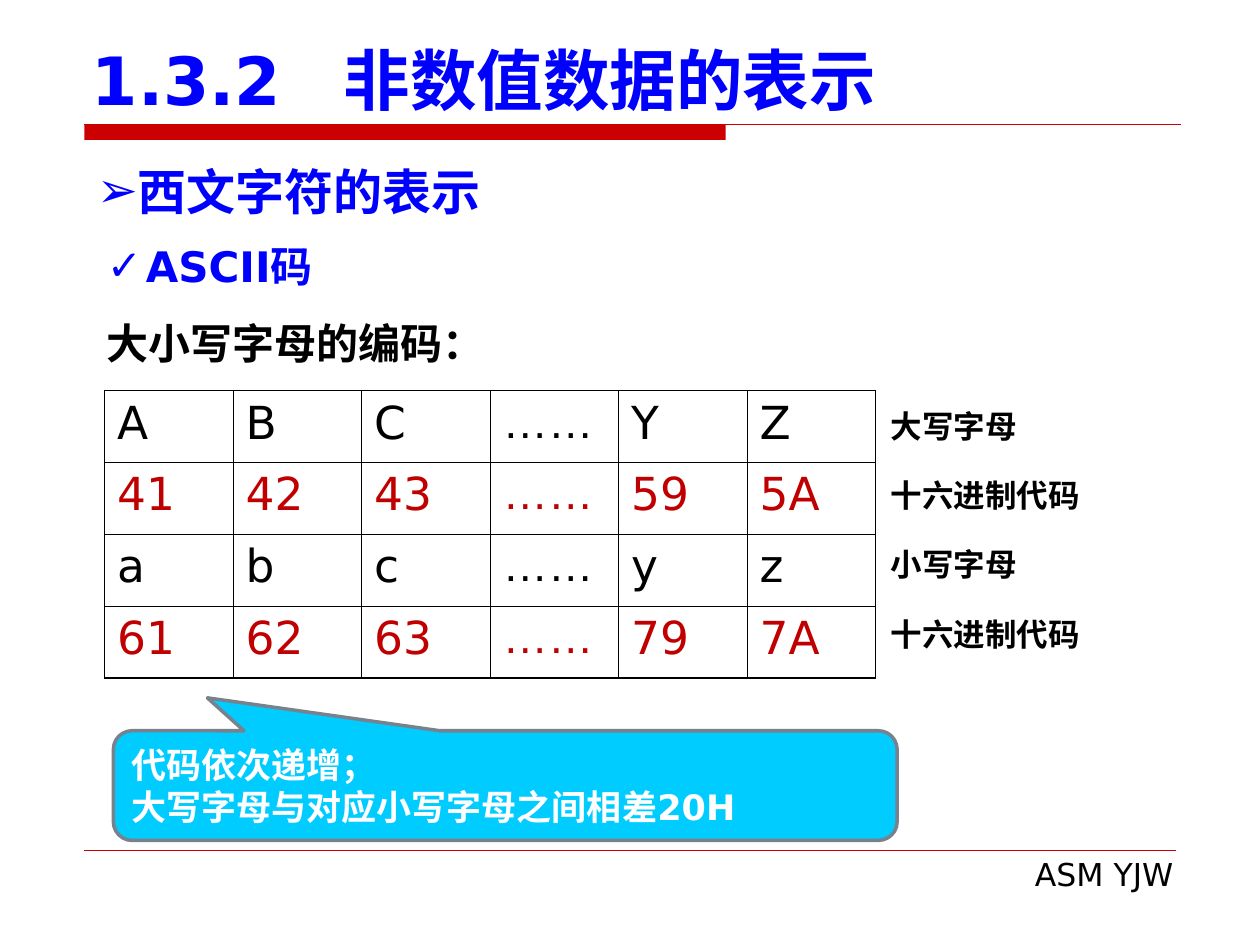
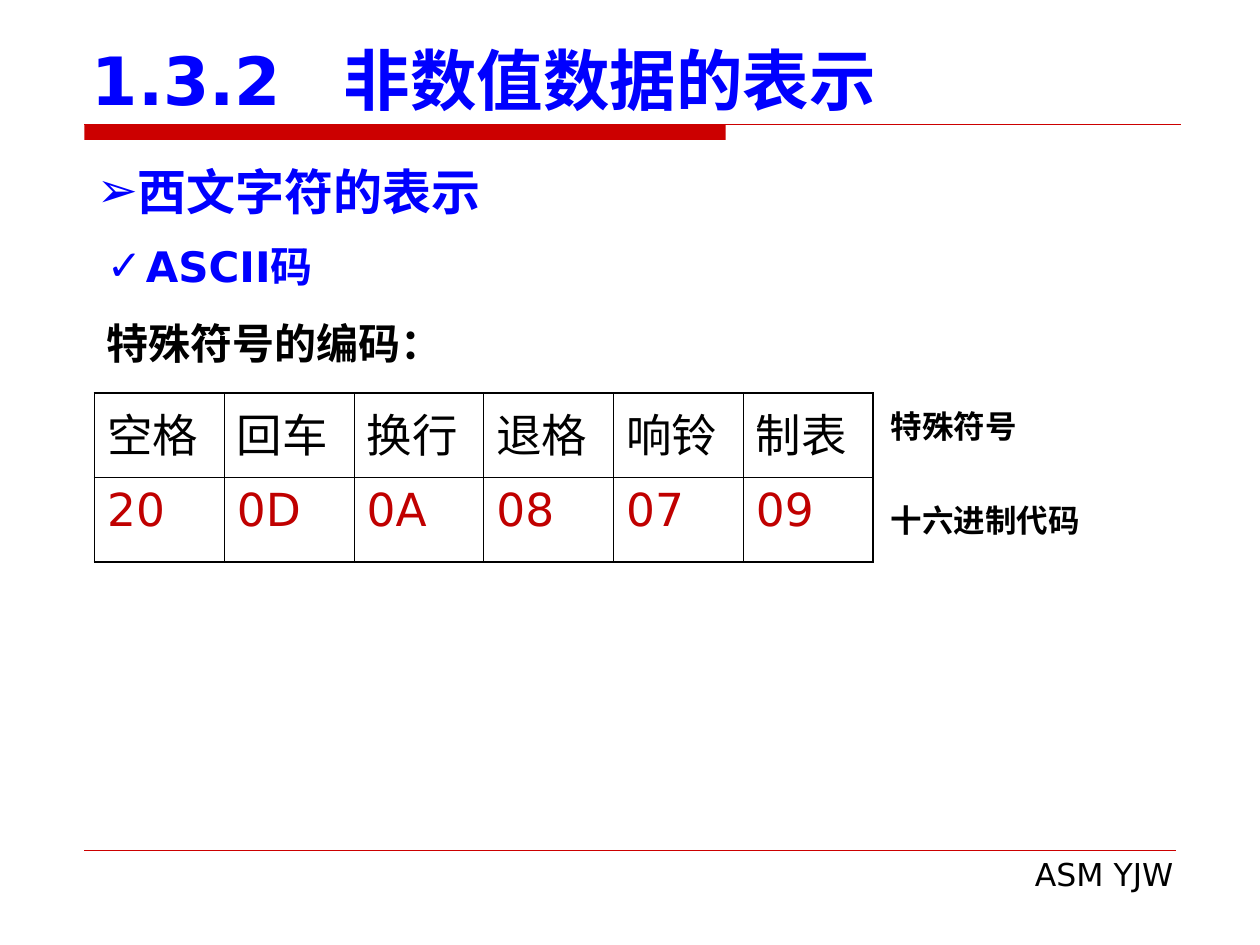
from dataclasses import dataclass
from typing import Any

from lxml.etree import SubElement as Sub
from pptx import Presentation
from pptx.dml.color import RGBColor as RGB
from pptx.enum.lang import MSO_LANGUAGE_ID as Lang
from pptx.enum.shapes import MSO_CONNECTOR as Link, MSO_SHAPE as Form
from pptx.enum.text import MSO_ANCHOR as Anchor, MSO_AUTO_SIZE as Auto, PP_ALIGN as Align
from pptx.oxml.ns import qn
from pptx.util import Inches, Pt

COLORS = {
    "red": "CC0000", "code": "C00000", "blue": "0000FF", "black": "000000",
    "white": "FFFFFF", "cyan": "00CCFF", "gray": "77828D",
}
STYLES: dict[str, dict[str, Any]] = {
    "title": {"size": Pt(38), "bold": True, "color": "blue"},
    "topic": {"size": Pt(28), "bold": True, "color": "blue"},
    "point": {"size": Pt(24), "bold": True, "color": "blue"},
    "lead": {"size": Pt(24), "bold": True, "color": "black"},
    "label": {"size": Pt(18), "bold": True, "color": "black"},
    "foot": {"size": Pt(18), "bold": False, "color": "black"},
    "note": {"size": Pt(20), "bold": True, "color": "white"},
    "sign": {"size": Pt(26), "bold": False, "color": "black"},
    "code": {"size": Pt(26), "bold": False, "color": "code"},
}
FONT = "DejaVu Sans"
DOTS = "……"
CODE = "十六进制代码"
LEFT, RIGHT = 0.67, 9.37
THICK, THIN = 1.08, 0.45


@dataclass
class Line:
    """One paragraph; tab is a stop in inches, hang is the bullet's indent."""
    text: str
    style: str
    before: float = 0
    align: Any = Align.LEFT
    bullet: str = ""
    hang: float = 0
    tab: float = 0


@dataclass
class Grid:
    left: float
    top: float
    col: float
    row: float
    cells: list[list[str]]


@dataclass
class Page:
    lead: str
    grid: Grid
    labels: list[str]
    pitch: float
    note: tuple[str, ...] = ()


PAGES = [
    Page(
        "大小写字母的编码：",
        Grid(0.83, 3.1, 1.02, 0.57, [
            ["A", "B", "C", DOTS, "Y", "Z"],
            ["41", "42", "43", DOTS, "59", "5A"],
            ["a", "b", "c", DOTS, "y", "z"],
            ["61", "62", "63", DOTS, "79", "7A"],
        ]),
        ["大写字母", CODE, "小写字母", CODE], 0.55,
        ("代码依次递增；", "大写字母与对应小写字母之间相差20H"),
    ),
    Page(
        "特殊符号的编码：",
        Grid(0.75, 3.12, 1.03, 0.67, [
            ["空格", "回车", "换行", "退格", "响铃", "制表"],
            ["20", "0D", "0A", "08", "07", "09"],
        ]),
        ["特殊符号", CODE], 0.75,
    ),
]


def shade(name: str) -> RGB:
    return RGB.from_string(COLORS[name])


def write(frame: Any, lines: list[Line]) -> None:
    for i, line in enumerate(lines):
        para = frame.paragraphs[0] if i == 0 else frame.add_paragraph()
        para.alignment = line.align
        if line.before:
            para.space_before = Pt(line.before)
        props = para._p.get_or_add_pPr()
        if line.bullet:
            props.set("marL", str(Inches(line.hang)))
            props.set("indent", str(-Inches(line.hang)))
            tint = Sub(props, qn("a:buClr"))
            Sub(tint, qn("a:srgbClr"), val=COLORS[STYLES[line.style]["color"]])
            Sub(props, qn("a:buFont"), typeface="Arial")
            Sub(props, qn("a:buChar"), char=line.bullet)
        if line.tab:
            stops = Sub(props, qn("a:tabLst"))
            Sub(stops, qn("a:tab"), pos=str(Inches(line.tab)), algn="l")
        run = para.add_run()
        run.text = line.text
        font = run.font
        font.name = "Arial" if line.text == DOTS else FONT
        font.language_id = Lang.SIMPLIFIED_CHINESE
        for key, value in STYLES[line.style].items():
            if key == "color":
                font.color.rgb = shade(value)
            else:
                setattr(font, key, value)


def add_text(slide: Any, box: tuple[float, ...], *lines: Line, grow: bool = True) -> None:
    frame = slide.shapes.add_textbox(*map(Inches, box)).text_frame
    frame.word_wrap = True
    if grow:
        frame.auto_size = Auto.SHAPE_TO_FIT_TEXT
    else:
        frame.vertical_anchor = Anchor.BOTTOM
    write(frame, list(lines))


def add_rule(slide: Any, right: float, top: float, width: float) -> None:
    rule = slide.shapes.add_connector(
        Link.STRAIGHT, Inches(LEFT), Inches(top), Inches(right), Inches(top))
    rule.line.color.rgb = shade("red")
    rule.line.width = Pt(width)
    Sub(rule._element.spPr, qn("a:effectLst"))


def add_frame(slide: Any) -> None:
    """Draw the band, footer and headings that every slide has."""
    band = slide.shapes.add_shape(
        Form.RECTANGLE, Inches(LEFT), Inches(0.99), Inches(5.09), Inches(0.12))
    band.shadow.inherit = False
    band.fill.solid()
    band.fill.fore_color.rgb = shade("red")
    band.line.fill.background()
    add_rule(slide, RIGHT, 0.99, 0.75)
    add_rule(slide, 9.33, 6.75, 0.25)
    add_text(slide, (3.82, 6.74, 5.59, 0.4), Line("ASM YJW", "foot", align=Align.RIGHT))
    add_text(slide, (0.63, 0.33, 8.75, 0.66),
             Line("1.3.2\t非数值数据的表示", "title", tab=2), grow=False)
    add_text(slide, (LEFT, 1.23, 8.66, 0.57),
             Line("西文字符的表示", "topic", align=Align.JUSTIFY, bullet="➢"))


def add_grid(slide: Any, grid: Grid) -> None:
    rows, cols = len(grid.cells), len(grid.cells[0])
    table = slide.shapes.add_table(
        rows, cols, Inches(grid.left), Inches(grid.top),
        Inches(grid.col * cols), Inches(grid.row * rows)).table
    table.first_row = table.horz_banding = False
    for col in table.columns:
        col.width = Inches(grid.col)
    for r, texts in enumerate(grid.cells):
        table.rows[r].height = Inches(grid.row)
        for c, text in enumerate(texts):
            cell = table.cell(r, c)
            edges = {"L": c == 0, "R": c == cols - 1, "T": r == 0, "B": r == rows - 1}
            props = cell._tc.get_or_add_tcPr()
            for side, outer in edges.items():
                edge = Sub(props, qn(f"a:ln{side}"), w=str(Pt(THICK if outer else THIN)))
                Sub(Sub(edge, qn("a:solidFill")), qn("a:srgbClr"), val=COLORS["black"])
            cell.fill.solid()
            cell.fill.fore_color.rgb = shade("white")
            write(cell.text_frame, [Line(text, "code" if r % 2 else "sign")])


def add_note(slide: Any, texts: tuple[str, ...]) -> None:
    note = slide.shapes.add_shape(
        Form.ROUNDED_RECTANGULAR_CALLOUT,
        Inches(0.9), Inches(5.8), Inches(6.22), Inches(0.87))
    for i, value in enumerate((-0.38, -0.8, 0.17)):
        note.adjustments[i] = value
    note.shadow.inherit = False
    note.fill.solid()
    note.fill.fore_color.rgb = shade("cyan")
    note.line.color.rgb = shade("gray")
    note.line.width = Pt(2)
    note.text_frame.word_wrap = True
    note.text_frame.vertical_anchor = Anchor.MIDDLE
    write(note.text_frame, [Line(text, "note") for text in texts])


def add_page(deck: Any, page: Page) -> None:
    slide = deck.slides.add_slide(deck.slide_layouts[6])
    add_frame(slide)
    add_text(slide, (0.75, 1.86, 8.66, 1.11),
             Line("ASCII码", "point", bullet="✓", hang=0.31),
             Line(page.lead, "lead", before=15))
    add_grid(slide, page.grid)
    for i, label in enumerate(page.labels):
        width = 2.6 if label == CODE else 1.34
        add_text(slide, (6.97, 3.18 + i * page.pitch, width, 0.4), Line(label, "label"))
    if page.note:
        add_note(slide, page.note)


def main() -> None:
    deck = Presentation()
    deck.slide_width, deck.slide_height = Inches(10), Inches(7.5)
    for page in PAGES:
        add_page(deck, page)
    deck.save("out.pptx")


if __name__ == "__main__":
    main()
